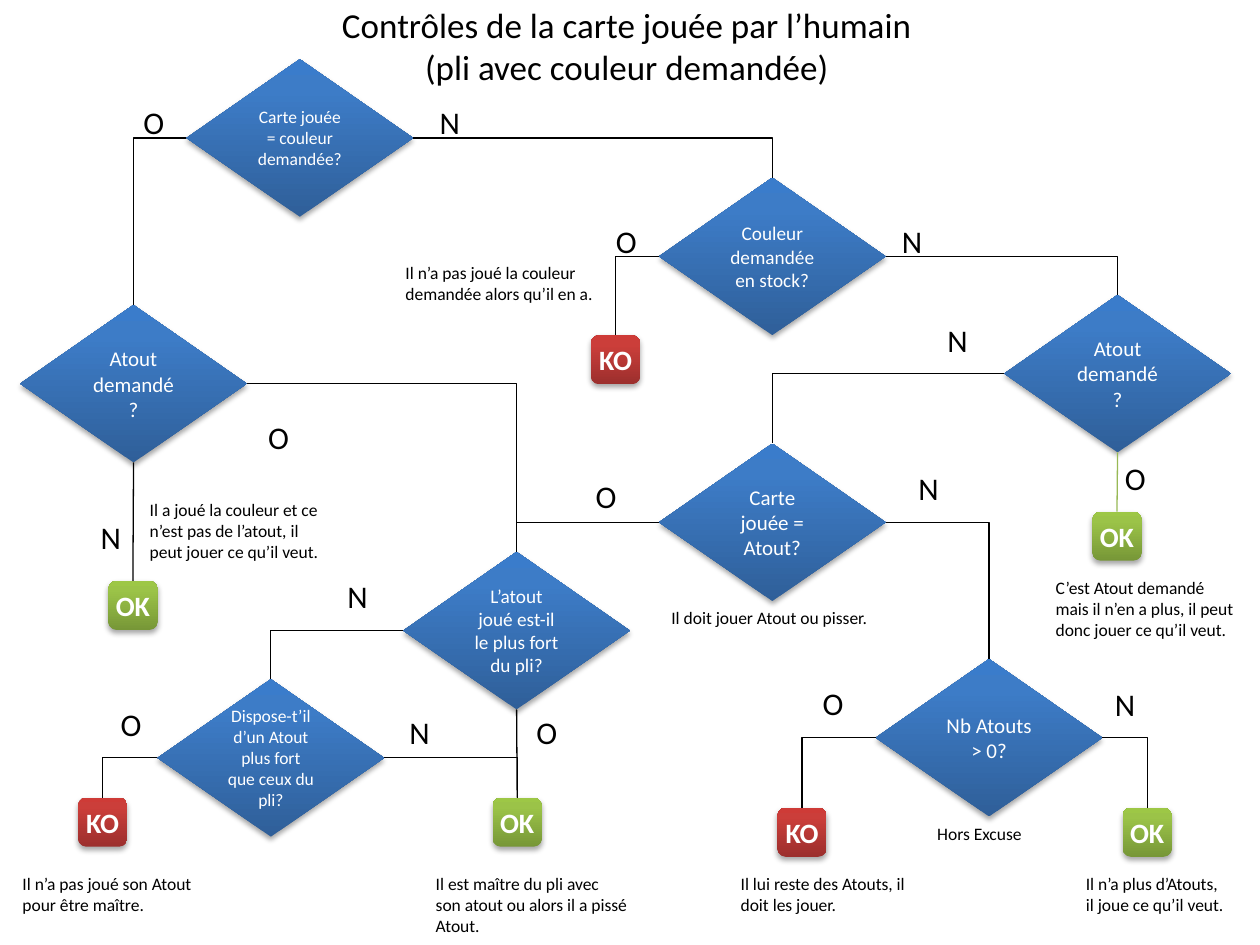
from copy import deepcopy
from dataclasses import dataclass

from pptx import Presentation
from pptx.dml.color import RGBColor
from pptx.enum.shapes import MSO_CONNECTOR, MSO_SHAPE
from pptx.enum.text import MSO_ANCHOR, MSO_AUTO_SIZE, PP_ALIGN
from pptx.oxml import parse_xml
from pptx.oxml.ns import nsdecls, qn
from pptx.util import Inches, Pt

DIAMOND = MSO_SHAPE.DIAMOND
ROUND = MSO_SHAPE.ROUNDED_RECTANGLE
ELBOW = MSO_CONNECTOR.ELBOW
STRAIGHT = MSO_CONNECTOR.STRAIGHT
MIDDLE = MSO_ANCHOR.MIDDLE
CENTER = PP_ALIGN.CENTER
LEFT = PP_ALIGN.LEFT
GROW = MSO_AUTO_SIZE.SHAPE_TO_FIT_TEXT
FIXED = MSO_AUTO_SIZE.NONE

BLACK = RGBColor(0x00, 0x00, 0x00)
WHITE = RGBColor(0xFF, 0xFF, 0xFF)
SAGE = RGBColor(0x98, 0xB9, 0x55)
BLUES = (RGBColor(0x2F, 0x5F, 0x99), RGBColor(0x3D, 0x7C, 0xC7), RGBColor(0x3A, 0x7C, 0xCB))
REDS = (RGBColor(0x9C, 0x2F, 0x2D), RGBColor(0xCB, 0x3E, 0x3A), RGBColor(0xCE, 0x3B, 0x37))
GREENS = (RGBColor(0x77, 0x97, 0x37), RGBColor(0x9B, 0xC3, 0x48), RGBColor(0x9D, 0xC7, 0x46))
STOPS = (0, 0.8, 1)

FONT = "Calibri"
TOP_SITE, LEFT_SITE, BOTTOM_SITE, RIGHT_SITE = range(4)
TEST_W, TEST_H = 1.8, 1.25
END_SIZE = 0.39
SHADOW = (
    f'<a:effectLst {nsdecls("a")}><a:outerShdw blurRad="40000" dist="23000" dir="5400000" '
    'rotWithShape="0"><a:srgbClr val="000000"><a:alpha val="35000"/></a:srgbClr>'
    "</a:outerShdw></a:effectLst>"
)


@dataclass
class Test:
    key: str
    x: float
    y: float
    text: str
    size: int


@dataclass
class End:
    key: str
    x: float
    y: float
    good: bool


@dataclass
class Link:
    start: str
    site: int
    goal: str
    color: RGBColor = BLACK


@dataclass
class Note:
    x: float
    y: float
    w: float
    h: float
    text: str


TESTS = [
    Test("suit", 1.48, 0.47, "Carte jouée = couleur demandée?", 10),
    Test("stock", 5.23, 1.41, "Couleur demandée en stock?", 11),
    Test("trump", 5.23, 3.52, "Carte jouée = Atout?", 12),
    Test("best", 3.2, 4.38, "L’atout joué est-il le plus fort du pli?", 11),
    Test("higher", 1.25, 5.39, "Dispose-t’il d’un Atout plus fort que ceux du pli?", 10),
    Test("count", 6.95, 5.23, "Nb Atouts\n> 0?", 12),
    Test("asked right", 7.97, 2.34, "Atout demandé?", 12),
    Test("asked left", 0.16, 2.42, "Atout demandé?", 12),
]
ENDS = [
    End("has suit", 4.69, 2.66, False),
    End("no trump", 8.91, 6.41, True),
    End("master", 3.91, 6.33, True),
    End("not master", 0.62, 6.33, False),
    End("void", 8.67, 4.06, True),
    End("has trump", 6.17, 6.41, False),
    End("free", 0.86, 4.61, True),
]
LINKS = [
    Link("suit", LEFT_SITE, "asked left"),
    Link("suit", RIGHT_SITE, "stock"),
    Link("stock", RIGHT_SITE, "asked right"),
    Link("stock", LEFT_SITE, "has suit"),
    Link("asked right", BOTTOM_SITE, "void", SAGE),
    Link("higher", LEFT_SITE, "not master"),
    Link("count", RIGHT_SITE, "no trump"),
    Link("best", BOTTOM_SITE, "master"),
    Link("higher", RIGHT_SITE, "master"),
    Link("asked right", LEFT_SITE, "trump"),
    Link("trump", LEFT_SITE, "best"),
    Link("trump", RIGHT_SITE, "count"),
    Link("asked left", RIGHT_SITE, "best"),
    Link("best", LEFT_SITE, "higher"),
    Link("count", LEFT_SITE, "has trump"),
    Link("asked left", BOTTOM_SITE, "free"),
]
MARKS = {
    "O": [(1.04, 0.77), (0.86, 5.55), (4.79, 1.71), (4.63, 3.74), (4.16, 5.61),
          (6.43, 5.38), (2.03, 3.27), (8.83, 3.59)],
    "N": [(3.39, 0.77), (7.06, 1.71), (2.66, 4.53), (7.42, 2.5), (7.19, 3.67),
          (8.75, 5.39), (3.15, 5.61), (0.7, 4.06)],
}
NOTES = [
    Note(1.09, 3.91, 1.64, 0.61, "Il a joué la couleur et ce n’est pas de l’atout, il peut jouer ce qu’il veut."),
    Note(3.12, 2.03, 1.8, 0.44, "Il n’a pas joué la couleur demandée alors qu’il en a."),
    Note(8.28, 4.53, 1.64, 0.61, "C’est Atout demandé mais il n’en a plus, il peut donc jouer ce qu’il veut."),
    Note(5.23, 4.77, 1.88, 0.27, "Il doit jouer Atout ou pisser."),
    Note(8.52, 6.88, 1.33, 0.44, "Il n’a plus d’Atouts, il joue ce qu’il veut."),
    Note(5.78, 6.88, 1.72, 0.44, "Il lui reste des Atouts, il doit les jouer."),
    Note(3.36, 6.88, 1.72, 0.61, "Il est maître du pli avec son atout ou alors il a pissé Atout."),
    Note(0.08, 6.88, 1.72, 0.44, "Il n’a pas joué son Atout pour être maître."),
    Note(7.34, 6.48, 0.94, 0.27, "Hors Excuse"),
]


def write(frame, text: str, size: int, color: RGBColor, align, bold: bool = False) -> None:
    frame.text = text
    for line in frame.paragraphs:
        line.alignment = align
        line.font.name = FONT
        line.font.size = Pt(size)
        line.font.bold = bold
        line.font.color.rgb = color


def add_node(slide, kind, x: float, y: float, w: float, h: float, shades: tuple):
    node = slide.shapes.add_shape(kind, Inches(x), Inches(y), Inches(w), Inches(h))
    node.line.fill.background()
    node.fill.gradient()
    node.fill.gradient_angle = 90
    stops = node._element.spPr.find(qn("a:gradFill")).find(qn("a:gsLst"))
    stops.append(deepcopy(stops[0]))
    for stop, place, shade in zip(node.fill.gradient_stops, STOPS, shades):
        stop.position = place
        stop.color.rgb = shade
    node._element.spPr.append(parse_xml(SHADOW))
    node.text_frame.word_wrap = True
    node.text_frame.vertical_anchor = MIDDLE
    return node


def add_test(slide, test: Test):
    node = add_node(slide, DIAMOND, test.x, test.y, TEST_W, TEST_H, BLUES)
    write(node.text_frame, test.text, test.size, WHITE, CENTER)
    return node


def add_end(slide, end: End):
    node = add_node(slide, ROUND, end.x, end.y, END_SIZE, END_SIZE, GREENS if end.good else REDS)
    frame = node.text_frame
    frame.margin_left = frame.margin_right = frame.margin_top = frame.margin_bottom = Inches(0.04)
    write(frame, "OK" if end.good else "KO", 16, WHITE, CENTER, True)
    return node


def add_link(slide, link: Link, nodes: dict) -> None:
    down = link.site == BOTTOM_SITE
    line = slide.shapes.add_connector(STRAIGHT if down else ELBOW, 0, 0, 0, 0)
    line.begin_connect(nodes[link.start], link.site)
    line.end_connect(nodes[link.goal], TOP_SITE)
    line.line.color.rgb = link.color
    line.line.width = Pt(0.75)
    props = line._element.spPr
    if not down:
        props.find(qn("a:prstGeom")).set("prst", "bentConnector2")
    props.append(parse_xml(f'<a:effectLst {nsdecls("a")}/>'))


def add_note(slide, note: Note, size: int = 10, wrap: bool = True) -> None:
    box = slide.shapes.add_textbox(Inches(note.x), Inches(note.y), Inches(note.w), Inches(note.h))
    box.text_frame.word_wrap = wrap
    box.text_frame.auto_size = GROW
    write(box.text_frame, note.text, size, BLACK, LEFT)


deck = Presentation()
deck.slide_width, deck.slide_height = Inches(10), Inches(7.5)
slide = deck.slides.add_slide(deck.slide_layouts[5])
title = slide.shapes.title
title.left, title.top, title.width, title.height = map(Inches, (2.5, 0.16, 4.95, 0.4))
title.text_frame.auto_size = FIXED
title.text_frame.vertical_anchor = MIDDLE
write(title.text_frame, "Contrôles de la carte jouée par l’humain (pli avec couleur demandée)", 20, BLACK, CENTER)

nodes = {test.key: add_test(slide, test) for test in TESTS}
nodes.update({end.key: add_end(slide, end) for end in ENDS})
for link in LINKS:
    add_link(slide, link, nodes)
for mark, spots in MARKS.items():
    for x, y in spots:
        add_note(slide, Note(x, y, 0.37, 0.4, mark), 18, False)
for note in NOTES:
    add_note(slide, note)
deck.save("out.pptx")
